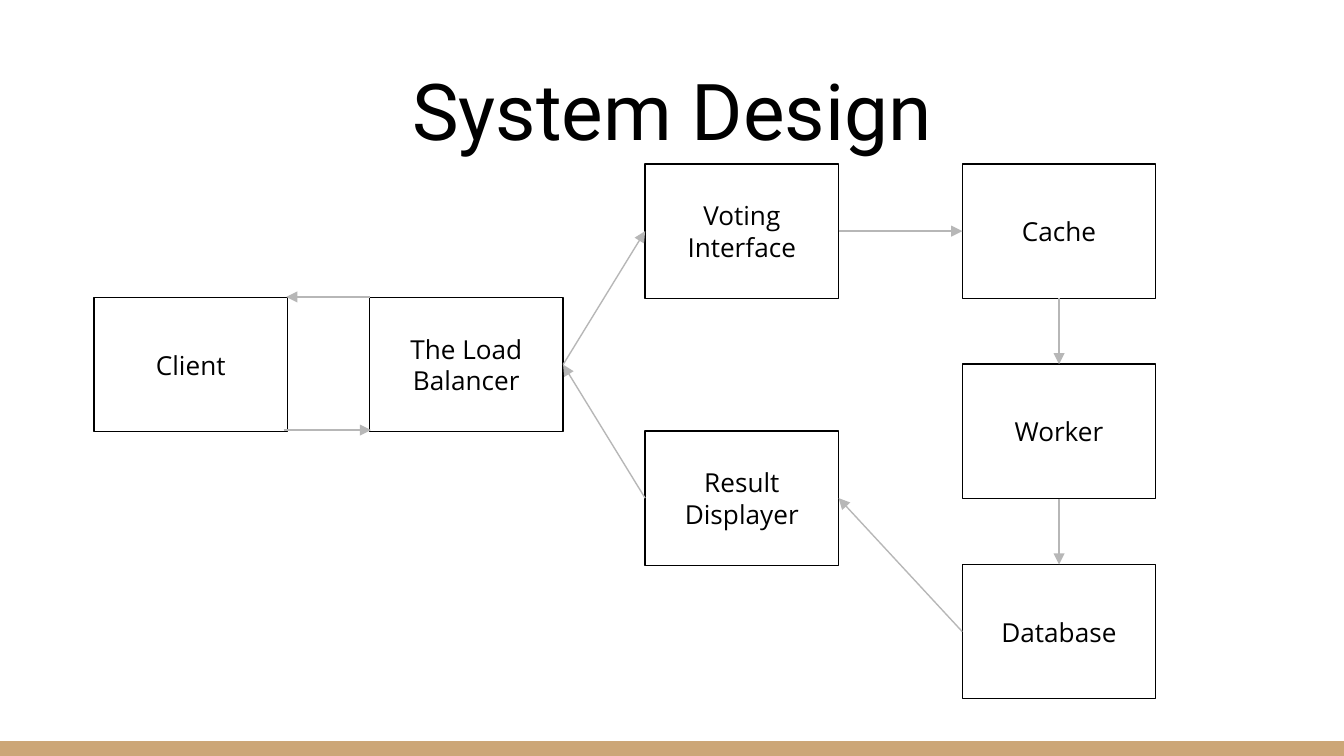
from lxml import etree
from pptx import Presentation
from pptx.dml.color import RGBColor
from pptx.enum.shapes import MSO_CONNECTOR, MSO_SHAPE
from pptx.enum.text import MSO_ANCHOR, MSO_AUTO_SIZE, PP_ALIGN
from pptx.oxml.ns import qn
from pptx.util import Inches, Pt

RECT = MSO_SHAPE.RECTANGLE
LINE = MSO_CONNECTOR.STRAIGHT
MIDDLE, BASE = MSO_ANCHOR.MIDDLE, MSO_ANCHOR.BOTTOM
CENTER, FIXED = PP_ALIGN.CENTER, MSO_AUTO_SIZE.NONE
TOP, LEFT, BOTTOM, RIGHT = range(4)

BLACK = RGBColor(0x00, 0x00, 0x00)
WHITE = RGBColor(0xFF, 0xFF, 0xFF)
GRAY = RGBColor(0xB7, 0xB7, 0xB7)
TAN = RGBColor(0xCC, 0xA6, 0x77)

# Slide in 16:9
WIDE = 10
HIGH = WIDE * 9 / 16

# Grid: box columns, and rows spaced by about half a box
COLS = [0.7, 2.75, 4.8, 7.16]
ROW_TOP, ROW_STEP = 1.22, (4.2 - 1.22) / 6
BOX_W, BOX_H = 1.44, 1

# Label: column, row
BOXES = {
    "Client": (0, 2),
    "The Load Balancer": (1, 2),
    "Voting Interface": (2, 0),
    "Result Displayer": (2, 4),
    "Cache": (3, 0),
    "Worker": (3, 3),
    "Database": (3, 6),
}
LINKS = [
    ("Voting Interface", RIGHT, "Cache", LEFT),
    ("Worker", BOTTOM, "Database", TOP),
    ("Cache", BOTTOM, "Worker", TOP),
    ("Database", LEFT, "Result Displayer", RIGHT),
    ("The Load Balancer", RIGHT, "Voting Interface", LEFT),
    ("Result Displayer", LEFT, "The Load Balancer", RIGHT),
]


def set_all(item, values):
    for name, value in values.items():
        setattr(item, name, value)


def set_text(shape, text, font, size, anchor):
    frame = shape.text_frame
    frame.text = text
    pad = Inches(0.1)
    set_all(frame, {
        "word_wrap": True, "auto_size": FIXED, "vertical_anchor": anchor,
        "margin_left": pad, "margin_right": pad,
        "margin_top": pad, "margin_bottom": pad,
    })
    para = frame.paragraphs[0]
    para.alignment = CENTER
    run = para.runs[0]
    set_all(run.font, {"name": font, "size": Pt(size)})
    run.font.color.rgb = BLACK


def add_rect(slide, x, y, w, h, fill):
    shape = slide.shapes.add_shape(
        RECT, Inches(x), Inches(y), Inches(w), Inches(h))
    shape.shadow.inherit = False
    shape.fill.solid()
    shape.fill.fore_color.rgb = fill
    shape.line.fill.background()
    return shape


def add_box(slide, label, col, row):
    y = ROW_TOP + row * ROW_STEP
    box = add_rect(slide, COLS[col], y, BOX_W, BOX_H, WHITE)
    box.line.color.rgb = BLACK
    box.line.width = Pt(0.75)
    set_text(box, label, "Open Sans", 14, MIDDLE)
    return box


def add_arrow(slide, x1=0, y1=0, x2=0, y2=0):
    arrow = slide.shapes.add_connector(
        LINE, Inches(x1), Inches(y1), Inches(x2), Inches(y2))
    arrow.line.color.rgb = GRAY
    arrow.line.width = Pt(0.75)
    ln = arrow._element.spPr.find(qn("a:ln"))
    etree.SubElement(ln, qn("a:tailEnd")).set("type", "triangle")
    etree.SubElement(arrow._element.spPr, qn("a:effectLst"))
    return arrow


def main():
    deck = Presentation()
    set_all(deck, {"slide_width": Inches(WIDE), "slide_height": Inches(HIGH)})
    slide = deck.slides.add_slide(deck.slide_layouts[5])

    # Title and bottom band
    title = slide.shapes.title
    set_all(title, {
        "left": Inches(0.34), "top": Inches(0.35),
        "width": Inches(9.32), "height": Inches(0.91),
    })
    set_text(title, "System Design", "Roboto", 42, BASE)
    add_rect(slide, 0, HIGH - 0.11, WIDE, 0.11, TAN)

    # Boxes
    boxes = {label: add_box(slide, label, *cell)
             for label, cell in BOXES.items()}

    # Arrows between side middles
    for start, side, end, goal in LINKS:
        arrow = add_arrow(slide)
        arrow.begin_connect(boxes[start], side)
        arrow.end_connect(boxes[end], goal)

    # Arrows to and from the client, along the box edges
    add_arrow(slide, 2.75, 2.21, 2.13, 2.21)
    add_arrow(slide, 2.11, 3.2, 2.76, 3.2)

    deck.save("out.pptx")


if __name__ == "__main__":
    main()
